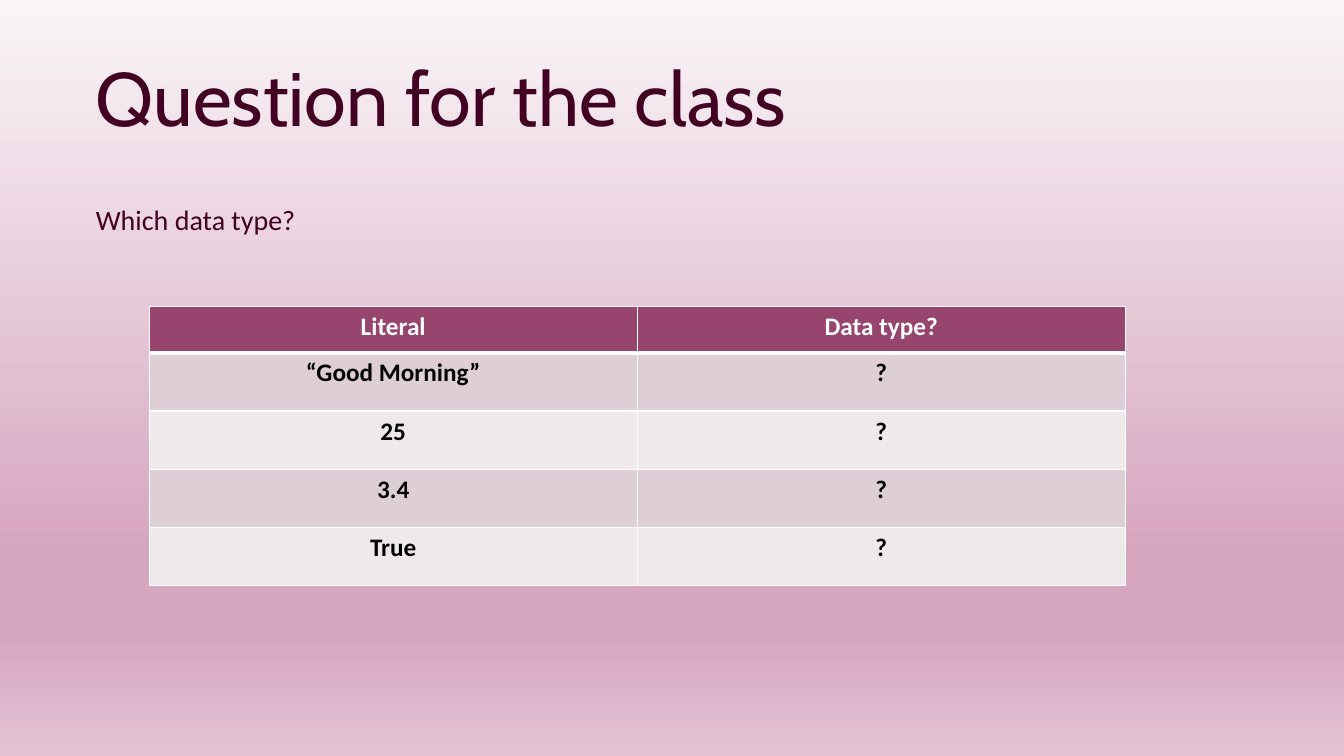
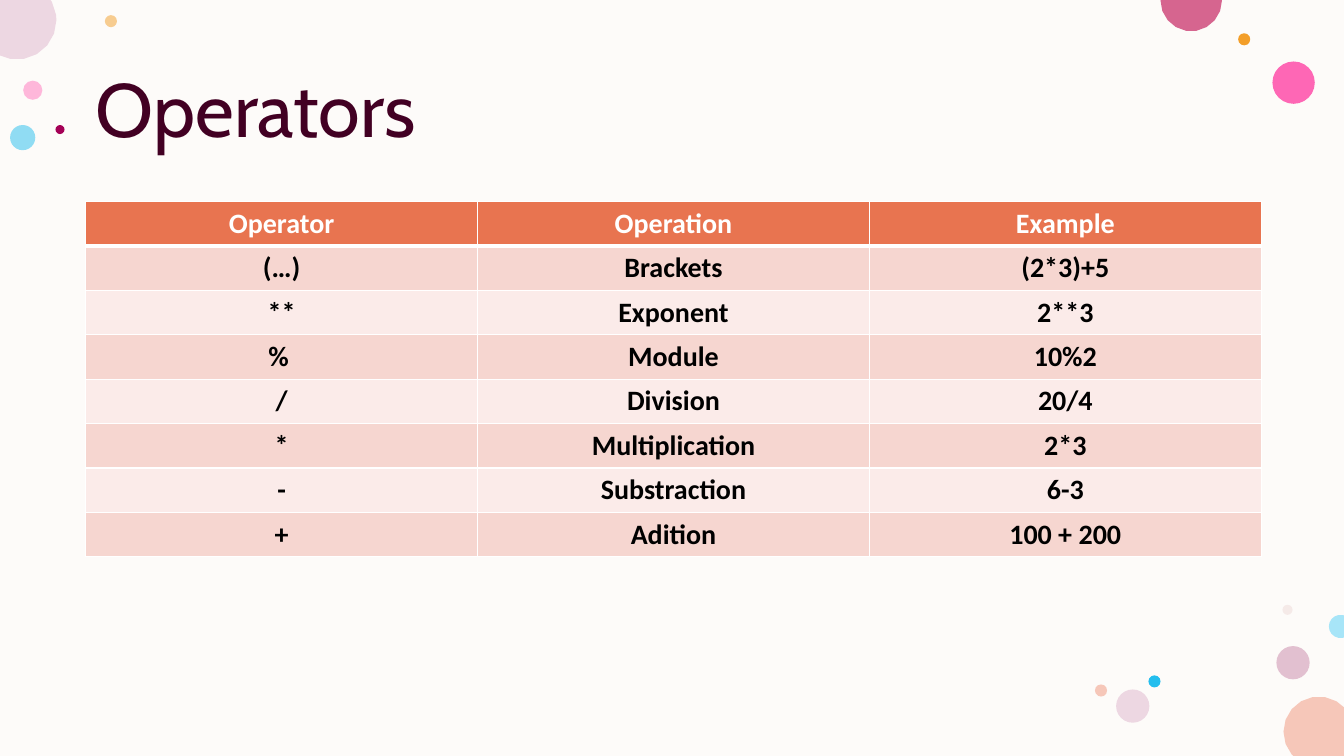
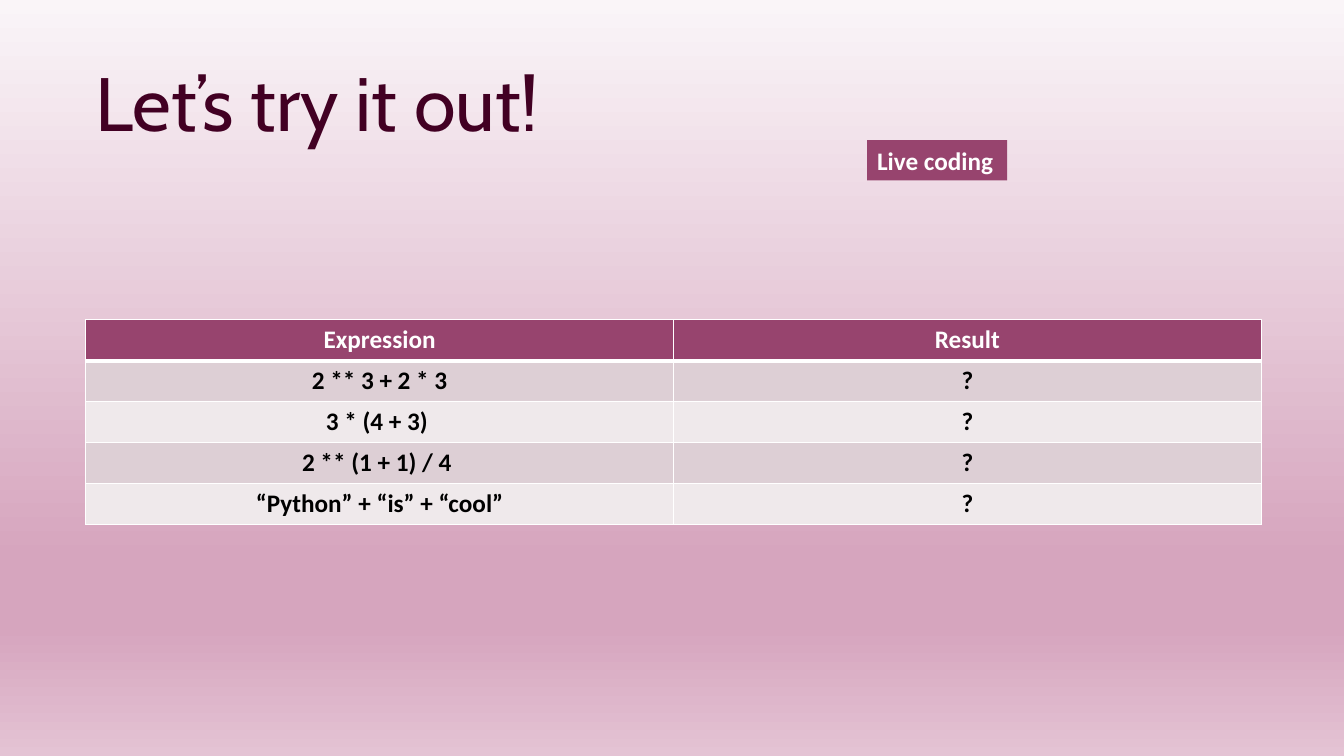
import math

from lxml import etree
from pptx import Presentation
from pptx import util as u
from pptx.dml.color import RGBColor
from pptx.enum import shapes, text
from pptx.oxml.ns import qn

WIDTH, HEIGHT = 13.33, 7.5
LEFT, CONTENT_WIDTH = 0.85, 11.66
TITLE_FONT, BODY_FONT = "Cabin", "Calibri"
DARK, WHITE, BLACK, PLUM, CREAM = "420023", "FFFFFF", "000000", "97446E", "FDFBF9"
GRADIENT = [(0, "FAF5F8"), (74, "D6A5BE"), (83, "D6A5BE"), (100, "E4C3D4")]
# header fill, then the two alternating row fills
PLUM_TABLE = (PLUM, "DDCFD5", "EFE9EB")
ORANGE_TABLE = ("E87450", "F6D6D0", "FBEBE9")
TITLE_ONLY, TITLE_AND_BODY = 5, 1

# left, top, diameter, colour, opacity in percent
BUBBLES = [
    (0.23, 0.8, 0.19, "FF75BD", 50),
    (1.04, 0.15, 0.12, "F39E29", 50),
    (12.66, 6.41, 0.33, "C987A8", 50),
    (0.1, 1.24, 0.25, "24BEEE", 50),
    (12.62, 0.61, 0.42, "FF2F9C", 72),
    (12.28, 0.33, 0.12, "F39E29", 100),
    (12.72, 6, 0.1, "E3BEBE", 28),
    (11.39, 6.7, 0.12, "24BEEE", 100),
    (11.07, 6.84, 0.33, "EDD7E2", 100),
    (10.86, 6.79, 0.12, "F6C7B9", 100),
    (12.73, 6.91, 0.7, "F6C7B9", 100),
    (-0.22, -0.19, 0.78, "EDD7E2", 100),
    (11.51, -0.3, 0.61, "D6658F", 100),
    (0.55, 1.24, 0.09, "A40056", 100),
    (13.18, 6.1, 0.23, "A7E5F8", 100),
]


def rgb(value):
    return RGBColor.from_string(value)


def add_run(p, content, size, color, font=BODY_FONT, bold=False):
    r = p.add_run()
    r.text = content
    r.font.name = font
    r.font.size = u.Pt(size)
    r.font.bold = bold
    r.font.color.rgb = rgb(color)


def place(sp, left, top, width, height):
    sp.left, sp.top = u.Inches(left), u.Inches(top)
    sp.width, sp.height = u.Inches(width), u.Inches(height)


def fill_placeholder(sp, content, size, font, anchor):
    tf = sp.text_frame
    tf.auto_size = text.MSO_AUTO_SIZE.NONE
    tf.vertical_anchor = anchor
    p = tf.paragraphs[0]
    p.alignment = text.PP_ALIGN.LEFT
    p.line_spacing = 0.9
    p.space_before = u.Pt(0)
    add_run(p, content, size, DARK, font)
    return p


def add_titled_slide(prs, layout, title, top):
    s = prs.slides.add_slide(prs.slide_layouts[layout])
    place(s.shapes.title, LEFT, top, CONTENT_WIDTH, 1.45)
    fill_placeholder(s.shapes.title, title, 54, TITLE_FONT, text.MSO_ANCHOR.MIDDLE)
    return s


def add_body(s, content, top, height):
    sp = s.placeholders[1]
    place(sp, LEFT, top, CONTENT_WIDTH, height)
    p = fill_placeholder(sp, content, 20, BODY_FONT, text.MSO_ANCHOR.TOP)
    props = p._p.get_or_add_pPr()
    props.set("marL", "0")
    props.set("indent", "0")
    etree.SubElement(props, qn("a:buNone"))


def set_gradient_background(s):
    fill = s.background.fill
    fill.gradient()
    fill.gradient_angle = 270
    stops = next(s.element.iter(qn("a:gsLst")))
    for old in list(stops):
        stops.remove(old)
    for percent, color in GRADIENT:
        stop = etree.SubElement(stops, qn("a:gs"), pos=str(percent * 1000))
        etree.SubElement(stop, qn("a:srgbClr"), val=color)


def paint(sp, color, opacity=100):
    sp.shadow.inherit = False
    sp.fill.solid()
    sp.fill.fore_color.rgb = rgb(color)
    sp.line.fill.background()
    if opacity < 100:
        clr = next(sp.element.spPr.iter(qn("a:srgbClr")))
        etree.SubElement(clr, qn("a:alpha"), val=str(opacity * 1000))


def add_filled(s, kind, box, color, opacity=100):
    sp = s.shapes.add_shape(kind, 0, 0, 0, 0)
    place(sp, *box)
    paint(sp, color, opacity)
    return sp


def clipped_circle(left, top, size):
    """Outline of the part of a circle on the slide, with few points."""
    radius = size / 2
    right, bottom = u.Inches(WIDTH), u.Inches(HEIGHT)
    points = []
    for degree in range(0, 360, 4):
        angle = math.radians(degree)
        x = u.Inches(left + radius + radius * math.cos(angle))
        y = u.Inches(top + radius + radius * math.sin(angle))
        points.append((min(max(x, 0), right), min(max(y, 0), bottom)))
    points = list(dict.fromkeys(points))
    outline = []
    for i, (x, y) in enumerate(points):
        before, after = points[i - 1], points[(i + 1) % len(points)]
        if x in (0, right) or y in (0, bottom):
            keep = not (before[0] == x == after[0] or before[1] == y == after[1])
        else:
            keep = i % 5 == 0
        if keep:
            outline.append((x, y))
    return outline


def add_bubble(s, left, top, size, color, opacity):
    """Draw a circle, cut off where it would pass the slide edge."""
    if 0 <= left <= WIDTH - size and 0 <= top <= HEIGHT - size:
        add_filled(s, shapes.MSO_SHAPE.OVAL, (left, top, size, size), color, opacity)
        return
    points = clipped_circle(left, top, size)
    builder = s.shapes.build_freeform(*points[0], scale=1)
    builder.add_line_segments(points[1:], close=True)
    paint(builder.convert_to_shape(), color, opacity)


def add_bubble_backdrop(s):
    """Cream panel and bubbles, kept behind the title."""
    add_filled(s, shapes.MSO_SHAPE.RECTANGLE, (0, 0, WIDTH, HEIGHT), CREAM)
    for bubble in BUBBLES:
        add_bubble(s, *bubble)
    title = s.shapes.title.element
    title.getparent().append(title)


def set_borders(cell, top, bottom):
    props = cell._tc.get_or_add_tcPr()
    for side, width in (("L", 1), ("R", 1), ("T", top), ("B", bottom)):
        ln = etree.SubElement(props, qn("a:ln" + side), w=str(u.Pt(width)))
        fill = etree.SubElement(ln, qn("a:solidFill"))
        etree.SubElement(fill, qn("a:srgbClr"), val=WHITE)


def add_data_table(s, box, rows, colors, size, header_height):
    """The rows below the header share the rest of the box equally."""
    left, top, width, height = (u.Inches(v) for v in box)
    table = s.shapes.add_table(len(rows), len(rows[0]), left, top, width, height).table
    table.horz_banding = False
    row_height = (box[3] - header_height) / (len(rows) - 1)
    for i, values in enumerate(rows):
        table.rows[i].height = u.Inches(row_height if i else header_height)
        fill = colors[0] if i == 0 else colors[2 - i % 2]
        for j, value in enumerate(values):
            cell = table.cell(i, j)
            set_borders(cell, 3 if i == 1 else 1, 3 if i == 0 else 1)
            cell.fill.solid()
            cell.fill.fore_color.rgb = rgb(fill)
            p = cell.text_frame.paragraphs[0]
            p.alignment = text.PP_ALIGN.CENTER
            add_run(p, value, size, BLACK if i else WHITE, bold=True)


def add_label(s, content, box):
    sp = add_filled(s, shapes.MSO_SHAPE.RECTANGLE, box, PLUM)
    tf = sp.text_frame
    tf.word_wrap = True
    p = tf.paragraphs[0]
    p.alignment = text.PP_ALIGN.LEFT
    add_run(p, content, 18, WHITE, bold=True)


def add_question_slide(prs):
    s = add_titled_slide(prs, TITLE_AND_BODY, "Question for the class", 0.29)
    set_gradient_background(s)
    add_body(s, "Which data type?", 2, 4.76)
    rows = [("Literal", "Data type?")]
    rows += [(v, "?") for v in ("“Good Morning”", "25", "3.4", "True")]
    add_data_table(s, (1.48, 3.04, 9.68, 2.77), rows, PLUM_TABLE, 18, 0.46)


def add_operators_slide(prs):
    s = add_titled_slide(prs, TITLE_ONLY, "Operators", 0.4)
    add_bubble_backdrop(s)
    rows = [
        ("Operator", "Operation", "Example"),
        ("(…)", "Brackets", "(2*3)+5"),
        ("**", "Exponent", "2**3"),
        ("% ", "Module", "10%2"),
        ("/", "Division", "20/4"),
        ("*", "Multiplication", "2*3"),
        ("-", "Substraction", "6-3"),
        ("+", "Adition", "100 + 200"),
    ]
    add_data_table(s, (LEFT, 2, CONTENT_WIDTH, 3.52), rows, ORANGE_TABLE, 20, 0.44)


def add_practice_slide(prs):
    s = add_titled_slide(prs, TITLE_ONLY, "Let’s try it out!", 0.34)
    set_gradient_background(s)
    expressions = ("2 ** 3 + 2 * 3", "3 * (4 + 3) ", "2 ** (1 + 1) / 4 ",
                   "“Python” + “is” + “cool”")
    rows = [("Expression", "Result")] + [(v, "?") for v in expressions]
    add_data_table(s, (LEFT, 3.17, CONTENT_WIDTH, 2.03), rows, PLUM_TABLE, 18, 0.41)
    add_label(s, "Live coding", (8.6, 1.39, 1.39, 0.4))


def main():
    prs = Presentation()
    prs.slide_width, prs.slide_height = u.Inches(WIDTH), u.Inches(HEIGHT)
    add_question_slide(prs)
    add_operators_slide(prs)
    add_practice_slide(prs)
    prs.save("out.pptx")


if __name__ == "__main__":
    main()
